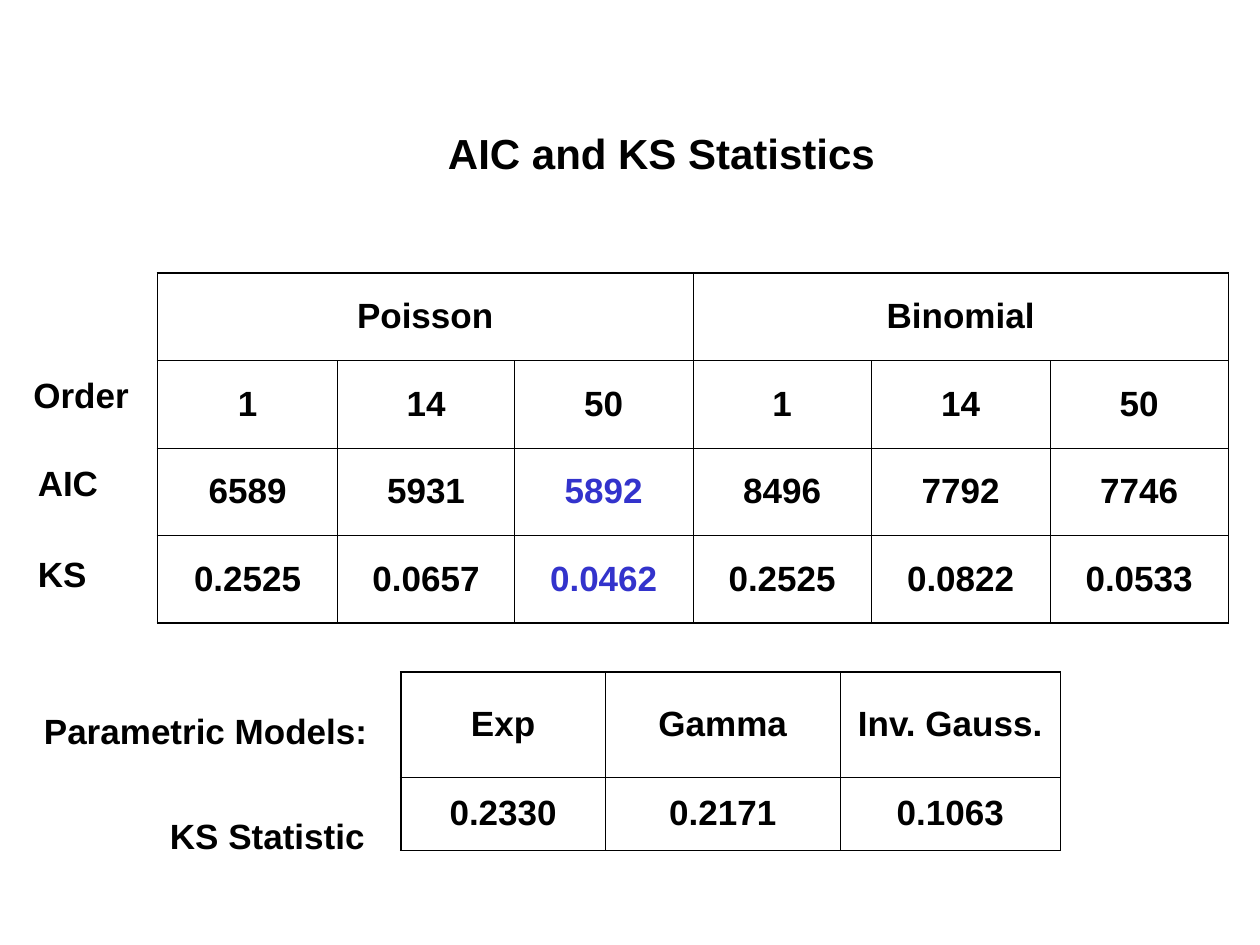
from dataclasses import dataclass

from lxml import etree
from pptx import Presentation
from pptx.dml.color import RGBColor
from pptx.enum.text import MSO_ANCHOR, MSO_AUTO_SIZE, PP_ALIGN
from pptx.oxml.ns import qn
from pptx.util import Pt

CENTER, LEFT = PP_ALIGN.CENTER, PP_ALIGN.LEFT
MIDDLE = MSO_ANCHOR.MIDDLE
GROW = MSO_AUTO_SIZE.SHAPE_TO_FIT_TEXT


@dataclass(frozen=True)
class Theme:
    font: str = "Arial"
    ink: str = "000000"
    accent: str = "3333CC"
    head: float = 24
    body: float = 20
    thick: float = 1.08
    thin: float = 0.45


class Page:
    def __init__(self, slide, theme):
        self.slide = slide
        self.theme = theme

    def add_text(self, frame, text, size, color, align, gap=0):
        para = frame.paragraphs[0]
        para.alignment = align
        para.space_before = Pt(gap)
        run = para.add_run()
        run.text = text
        font = run.font
        font.name, font.size, font.bold = self.theme.font, Pt(size), True
        font.color.rgb = RGBColor.from_string(color)

    def title(self, text, left, top, width, height):
        shape = self.slide.shapes.title
        shape.left, shape.top = Pt(left), Pt(top)
        shape.width, shape.height = Pt(width), Pt(height)
        shape.text_frame.vertical_anchor = MIDDLE
        self.add_text(shape.text_frame, text, self.theme.head, self.theme.ink, CENTER)

    def label(self, text, left, top, width):
        box = self.slide.shapes.add_textbox(Pt(left), Pt(top), Pt(width), Pt(31.5))
        frame = box.text_frame
        frame.word_wrap = True
        frame.auto_size = GROW
        self.add_text(frame, text, self.theme.body, self.theme.ink, LEFT, 12.5)

    def border(self, cell, outer):
        """Draw the four sides, thick where the side is on the table's edge."""
        props = cell._tc.get_or_add_tcPr()
        for spot, (side, edge) in enumerate(zip("LRTB", outer)):
            width = self.theme.thick if edge else self.theme.thin
            line = etree.Element(qn("a:ln" + side), w=str(Pt(width)))
            fill = etree.SubElement(line, qn("a:solidFill"))
            etree.SubElement(fill, qn("a:srgbClr"), val=self.theme.ink)
            props.insert(spot, line)

    def table(self, rows, left, top, widths, heights, span=1, marks=()):
        """Build a grid; span merges groups of cells in the first row."""
        high, wide = len(heights), len(widths)
        frame = self.slide.shapes.add_table(
            high, wide, Pt(left), Pt(top), Pt(sum(widths)), Pt(sum(heights)))
        grid = frame.table
        grid.first_row = grid.horz_banding = False
        for col, width in zip(grid.columns, widths):
            col.width = Pt(width)
        for row, height in zip(grid.rows, heights):
            row.height = Pt(height)
        for r, texts in enumerate(rows):
            step = span if r == 0 else 1
            for i, text in enumerate(texts):
                c, last = i * step, (i + 1) * step - 1
                if step > 1:
                    grid.cell(r, c).merge(grid.cell(r, last))
                outer = (c == 0, last == wide - 1, r == 0, r == high - 1)
                for k in range(c, last + 1):
                    grid.cell(r, k).fill.background()
                    self.border(grid.cell(r, k), outer)
                cell = grid.cell(r, c)
                cell.vertical_anchor = MIDDLE
                color = self.theme.accent if (r, c) in marks else self.theme.ink
                self.add_text(cell.text_frame, text, self.theme.body, color, CENTER, 5)


def main():
    deck = Presentation()
    deck.slide_width, deck.slide_height = Pt(720), Pt(540)
    page = Page(deck.slides.add_slide(deck.slide_layouts[5]), Theme())

    # Title
    page.title("AIC and KS Statistics", 72, 42, 612, 90)

    # Statistics by order, best fit marked
    page.table(
        [["Poisson", "Binomial"],
         ["1", "14", "50"] * 2,
         ["6589", "5931", "5892", "8496", "7792", "7746"],
         ["0.2525", "0.0657", "0.0462", "0.2525", "0.0822", "0.0533"]],
        90, 156, [103, 101] + [102] * 4, [50] * 4,
        span=3, marks={(2, 2), (3, 2)})

    # Row names
    page.label("Order", 12, 210, 102)
    page.label("AIC", 14.5, 260, 102)
    page.label("KS", 14.5, 312, 102)

    # Parametric models
    page.table(
        [["Exp", "Gamma", "Inv. Gauss."],
         ["0.2330", "0.2171", "0.1063"]],
        229, 384, [117, 134, 126], [60, 42])
    page.label("KS Statistic", 90, 462, 300)
    page.label("Parametric Models:", 18, 402, 240)

    deck.save("out.pptx")


if __name__ == "__main__":
    main()
